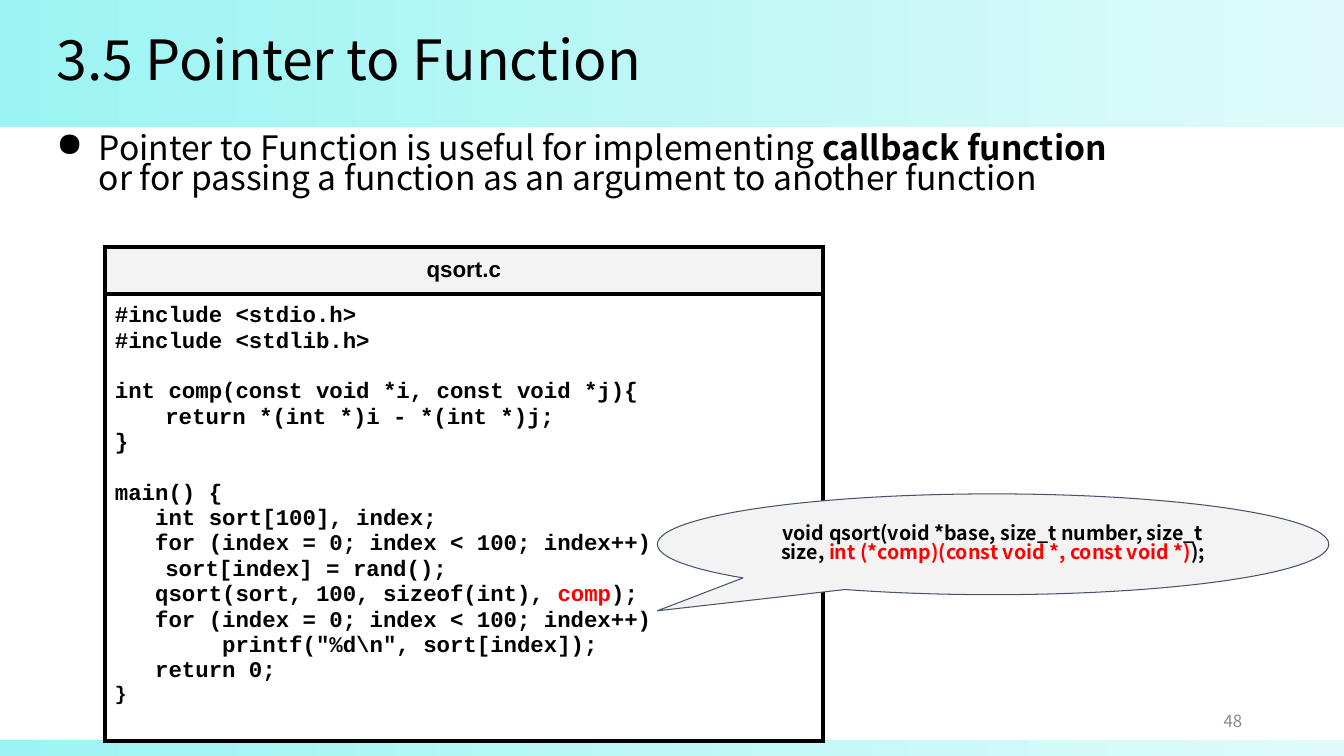
from lxml import etree
from pptx import Presentation
from pptx.dml.color import RGBColor
from pptx.enum.shapes import MSO_SHAPE
from pptx.enum.text import MSO_ANCHOR, PP_ALIGN
from pptx.oxml.ns import qn
from pptx.util import Inches, Pt

RECT, BUBBLE = MSO_SHAPE.RECTANGLE, MSO_SHAPE.OVAL_CALLOUT
MIDDLE, TOP = MSO_ANCHOR.MIDDLE, MSO_ANCHOR.TOP
LEFT, CENTER, RIGHT = PP_ALIGN.LEFT, PP_ALIGN.CENTER, PP_ALIGN.RIGHT
SANS, MONO, HEAD = "Noto Sans CJK KR", "Courier New", "Arial"
BLACK, RED, GRAY, PALE, NAVY = "000000", "FF0000", "888888", "F3F3F3", "44546A"
FADE = ("9BF4F3", "DFFBF9")

# Content: a run is (text, bold, colour)
TITLE = "3.5 Pointer to Function"
POINT = [
    ("Pointer to Function is useful for implementing ", False, BLACK),
    ("callback function ", True, BLACK),
    ("or for passing a function as an argument to another function", False, BLACK),
]
FILE = "qsort.c"
CODE = r"""#include <stdio.h>
#include <stdlib.h>

int comp(const void *i, const void *j){
	return *(int *)i - *(int *)j;
}

main() {
   int sort[100], index;
   for (index = 0; index < 100; index++)
	sort[index] = rand();
   qsort(sort, 100, sizeof(int), comp);
   for (index = 0; index < 100; index++)
        printf("%d\n", sort[index]);
   return 0;
}""".split("\n")
MARK = ", comp)"
NOTE = [
    ("void qsort(void *base, size_t number, size_t size, ", True, BLACK),
    ("int (*comp)(const void *, const void *)", True, RED),
    (");", True, BLACK),
]
PAGE = "48"
BANDS = [(0, 1.26), (7.34, 0.16)]  # top, height
ROWS = (0.45, 4.2)


def color(code):
    return RGBColor.from_string(code)


def box(*sides):
    return [Inches(side) for side in sides]


def style(font, name, size, code, bold=False):
    font.name, font.size, font.bold = name, Pt(size), bold
    font.color.rgb = color(code)


def write(para, runs, name, size, align=LEFT):
    para.alignment = align
    for text, bold, code in runs:
        run = para.add_run()
        run.text = text
        style(run.font, name, size, code, bold)


def setup(frame, anchor, pad=0.05):
    frame.word_wrap = True
    frame.vertical_anchor = anchor
    frame.margin_left = frame.margin_right = Inches(0.1)
    frame.margin_top = frame.margin_bottom = Inches(pad)
    return frame.paragraphs[0]


def border(cell):
    props = cell._tc.get_or_add_tcPr()
    for spot, side in enumerate(("lnL", "lnR", "lnT", "lnB")):
        line = etree.Element(qn("a:" + side), w=str(Pt(3)))
        fill = etree.SubElement(line, qn("a:solidFill"))
        etree.SubElement(fill, qn("a:srgbClr"), val=BLACK)
        props.insert(spot, line)


prs = Presentation()
prs.slide_width, prs.slide_height = box(13.33, 7.5)
slide = prs.slides.add_slide(prs.slide_layouts[5])
shapes = slide.shapes

# Gradient bands behind the title
for top, height in BANDS:
    band = shapes.add_shape(RECT, *box(0, top, 13.33, height))
    band.shadow.inherit = False
    band.line.fill.background()
    band.fill.gradient()
    band.fill.gradient_angle = 0
    for stop, code in zip(band.fill.gradient_stops, FADE):
        stop.color.rgb = color(code)
    shapes._spTree.insert(2, band._element)

# Title
title = shapes.title
title.left, title.top, title.width, title.height = box(0.46, 0.27, 12.58, 0.7)
para = setup(title.text_frame, MIDDLE)
para.line_spacing = 0.9
write(para, [(TITLE, False, BLACK)], SANS, 39.6)

# Bullet point
point = shapes.add_textbox(*box(0.38, 1.31, 11.09, 1.06))
para = setup(point.text_frame, TOP)
props = para._p.get_or_add_pPr()
props.set("marL", str(Inches(0.5)))
props.set("indent", str(Inches(-0.42)))
etree.SubElement(props, qn("a:buChar"), char="●")
para.line_spacing = 0.74
write(para, POINT, SANS, 24)

# Page number
page = shapes.add_textbox(*box(9.42, 6.95, 3, 0.4))
write(setup(page.text_frame, MIDDLE), [(PAGE, False, GRAY)], SANS, 12, RIGHT)

# Code table
table = shapes.add_table(2, 1, *box(1.04, 2.45, 7.12, sum(ROWS))).table
table.first_row = table.horz_banding = False
for row, height in zip(table.rows, ROWS):
    row.height = Inches(height)
head, body = table.cell(0, 0), table.cell(1, 0)
for cell in (head, body):
    cell.margin_left = cell.margin_right = Inches(0.1)
    cell.margin_top = cell.margin_bottom = Inches(0.1)
    border(cell)
head.fill.solid()
head.fill.fore_color.rgb = color(PALE)
body.fill.background()
write(head.text_frame.paragraphs[0], [(FILE, True, BLACK)], HEAD, 16, CENTER)

body.text_frame.text = "\n".join(CODE)
for para, line in zip(body.text_frame.paragraphs, CODE):
    size = 14 if line == CODE[-1] and para._p.getnext() is None else 16
    if MARK in line:
        start, end = line.split(MARK)
        para.clear()
        write(para, [(start + ", ", True, BLACK), ("comp", True, RED),
                     (")" + end, True, BLACK)], MONO, size)
    elif line:
        style(para.runs[0].font, MONO, size, BLACK, True)
    else:
        style(para.font, MONO, size, BLACK, True)
        etree.SubElement(para._p, qn("a:endParaRPr"), sz=str(size * 100))

# Callout
note = shapes.add_shape(BUBBLE, *box(6.52, 4.9, 6.66, 1))
note.adjustments[0], note.adjustments[1] = -0.5, 0.66
note.shadow.inherit = False
note.fill.solid()
note.fill.fore_color.rgb = color(PALE)
note.line.color.rgb = color(NAVY)
note.line.width = Pt(0.75)
para = setup(note.text_frame, MIDDLE, 0.1)
para.line_spacing = 0.81
write(para, NOTE, SANS, 14, CENTER)

prs.save("out.pptx")
